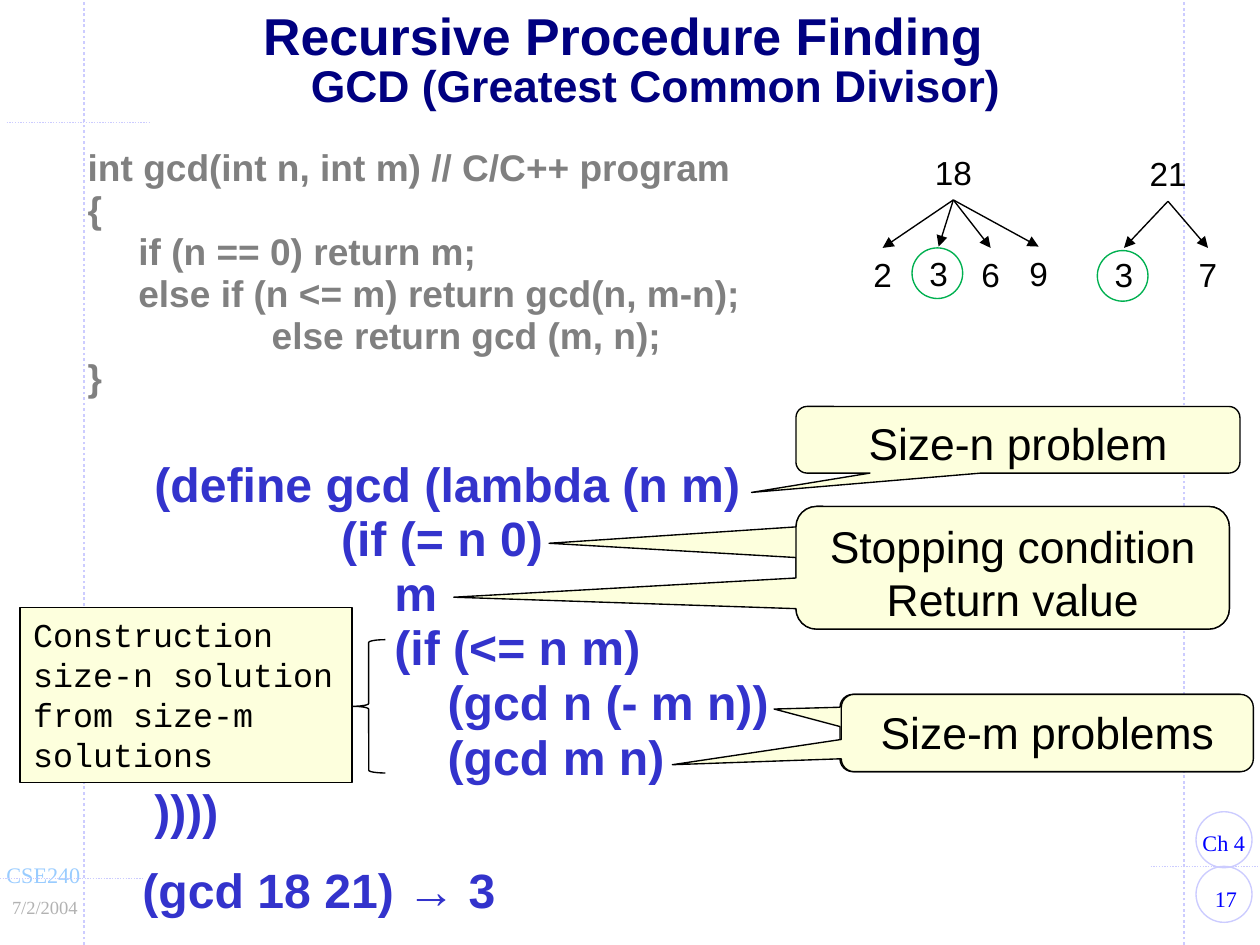
from lxml.etree import SubElement
from pptx import Presentation
from pptx.dml.color import RGBColor
from pptx.enum.dml import MSO_LINE
from pptx.enum.shapes import MSO_CONNECTOR, MSO_SHAPE
from pptx.enum.text import MSO_ANCHOR, PP_ALIGN
from pptx.oxml.ns import qn
from pptx.util import Pt

PX = 9144  # 100 px to the inch
SIZE = (945, 709)
INK = {"navy": "000080", "gray": "808080", "blue": "3333CC", "cream": "FDFFDD",
       "black": "000000", "green": "00B050", "lilac": "CCCCFF", "sky": "99CCFF",
       "link": "0000FF", "silver": "B2B2B2"}
ALIGN = {"l": PP_ALIGN.LEFT, "c": PP_ALIGN.CENTER, "r": PP_ALIGN.RIGHT}

# Text formats
SERIF = {"name": "Times New Roman", "size": 12, "color": "link"}
BOLD = {"name": "Arial", "bold": True}
TITLE = {**BOLD, "size": 28, "color": "navy"}
CODE = {**BOLD, "size": 20, "color": "gray"}
LISP = {**BOLD, "size": 26, "color": "blue"}
NOTE = {"name": "Arial", "size": 24, "color": "black"}
MONO = {"name": "Courier New", "size": 18, "color": "black"}
DIGIT = {"name": "Arial", "size": 18, "color": "black"}

# Frame: start, end, width in points
RULES = [((63, 709), (63, 0), 1.5), ((0, 659), (108, 659), 0.75),
         ((888, 709), (888, 0), 1.5), ((863, 650), (950, 650), 0.75),
         ((5, 92), (113, 92), 0.75)]
# Frame: text, box, alignment, format
MARKS = [("17", (892, 659, 55, 30), "c", SERIF),
         ("Ch 4", (892, 617, 52, 30), "l", SERIF),
         ("CSE240", (-5, 641, 76, 30), "l", {**SERIF, "color": "sky"}),
         ("7/2/2004", (-1, 667, 69, 27), "r", {**SERIF, "size": 10, "color": "silver"})]
RINGS = [(897, 650, 42, "lilac"), (897, 609, 42, "lilac"),
         (684, 186, 38, "green"), (823, 188, 38, "green")]

HEAD = ("Recursive Procedure Finding ", "GCD (Greatest Common Divisor)")
# Program lines: indent, text
C_CODE = [(0, "int gcd(int n, int m) // C/C++ program"), (0, "{"),
          (38, "if (n == 0) return m;"),
          (38, "else if (n <= m) return gcd(n, m-n);"),
          (138, "else return gcd (m, n);"), (0, "}")]
SCHEME = [(0, "(define gcd (lambda (n m)"), (140, "(if (= n 0)"), (180, "m"),
          (180, "(if (<= n m)"), (220, "(gcd n (- m n))"),
          (220, "(gcd m n)"), (0, "))))")]
CALL = [(0, "(gcd 18 21) → 3")]

STOP = ["Stopping condition", "Return value"]
# Callouts: lines, box, tip offset from the centre as parts of the size
CALLOUTS = [(["Size-n problem"], (597, 305, 333, 50), (-0.6, 0.79)),
            (STOP, (597, 380, 325, 92), (-1.07, -0.2)),
            (STOP, (597, 380, 325, 92), (-1.29, 0.24)),
            (["Size-m problems"], (630, 521, 309, 58), (-0.66, -0.31)),
            (["Size-m problems"], (631, 521, 309, 58), (-0.91, 0.41))]
BUILD = "Construction size-n solution from size-m solutions"
# Factor trees: root, root point, [(factor, arrow tip)]
TREES = [("18", (715, 150), [("2", (662, 186)), ("3", (704, 185)),
                             ("6", (743, 186)), ("9", (779, 185))]),
         ("21", (876, 151), [("3", (843, 186)), ("7", (906, 186))])]

deck = Presentation()
deck.slide_width, deck.slide_height = [n * PX for n in SIZE]
slide = deck.slides.add_slide(deck.slide_layouts[6])
shapes = slide.shapes


def tint(name):
    return RGBColor.from_string(INK[name])


def style(font, form):
    for key, val in form.items():
        if key == "color":
            font.color.rgb = tint(val)
        else:
            setattr(font, key, Pt(val) if key == "size" else val)


def write(frame, lines, form, align="l", **space):
    for i, line in enumerate(lines):
        para = frame.paragraphs[0] if i == 0 else frame.add_paragraph()
        para.alignment = ALIGN[align]
        for key, val in space.items():
            setattr(para, key, val)
        run = para.add_run()
        run.text = line
        style(run.font, form)


def label(box, lines, form, align="l", wrap=True, **space):
    frame = shapes.add_textbox(*[n * PX for n in box]).text_frame
    frame.word_wrap = wrap
    write(frame, lines, form, align, **space)
    return frame


def listing(box, rows, form, wrap=True):
    """Write program lines, each with its own left indent."""
    frame = label(box, [text for _, text in rows], form, wrap=wrap,
                  line_spacing=0.75, space_before=Pt(round(form["size"] * 0.235, 1)))
    for para, (indent, _) in zip(frame.paragraphs, rows):
        if indent:
            para._p.get_or_add_pPr().set("marL", str(indent * PX))


def form(kind, box, edge="black", fill=None):
    shape = shapes.add_shape(kind, *[n * PX for n in box])
    shape.shadow.inherit = False
    shape.line.color.rgb = tint(edge)
    shape.line.width = Pt(0.75)
    if fill:
        shape.fill.solid()
        shape.fill.fore_color.rgb = tint(fill)
    else:
        shape.fill.background()
    return shape


def rule(start, end, color, width=0.75):
    line = shapes.add_connector(MSO_CONNECTOR.STRAIGHT, *[n * PX for n in start + end])
    line.line.color.rgb = tint(color)
    line.line.width = Pt(width)
    SubElement(line._element.spPr, qn("a:effectLst"))
    return line


for text, box, align, look in MARKS:
    label(box, [text], look, align, wrap=False)
for start, end, width in RULES:
    rule(start, end, "lilac", width).line.dash_style = MSO_LINE.ROUND_DOT

head = label((69, 8, 807, 78), HEAD[:1], TITLE, "c", line_spacing=0.85, space_before=Pt(6))
head.vertical_anchor = MSO_ANCHOR.MIDDLE
title = head.paragraphs[0]
for key, val in {"marL": 38, "indent": -38}.items():
    title._p.get_or_add_pPr().set(key, str(val * PX))
title.add_line_break()
sub = title.add_run()
sub.text = HEAD[1]
style(sub.font, {**TITLE, "size": 24})

listing((56, 111, 807, 260), C_CODE, CODE)
listing((106, 346, 550, 300), SCHEME, LISP)
listing((97, 651, 287, 43), CALL, LISP, wrap=False)

for lines, box, tip in CALLOUTS:
    note = form(MSO_SHAPE.ROUNDED_RECTANGULAR_CALLOUT, box, fill="cream")
    for i, part in enumerate(tip):
        note.adjustments[i] = part
    note.text_frame.vertical_anchor = MSO_ANCHOR.TOP
    write(note.text_frame, lines, NOTE, "c")

form(MSO_SHAPE.LEFT_BRACE, (264, 480, 25, 100))
build = form(MSO_SHAPE.RECTANGLE, (15, 456, 249, 131), fill="cream").text_frame
build.vertical_anchor = MSO_ANCHOR.TOP
write(build, [BUILD], MONO)

for root, (x, y), leaves in TREES:
    label((x - 24, y - 41, 48, 40), [root], DIGIT, "c", wrap=False)
    for factor, tip in leaves:
        label((tip[0] - 27, tip[1], 54, 40), [factor], DIGIT, "c")
        arrow = rule((x, y), tip, "black")
        SubElement(arrow.line._get_or_add_ln(), qn("a:tailEnd"), type="triangle")

for x, y, side, color in RINGS:
    form(MSO_SHAPE.OVAL, (x, y, side, side), color)

deck.save("out.pptx")
